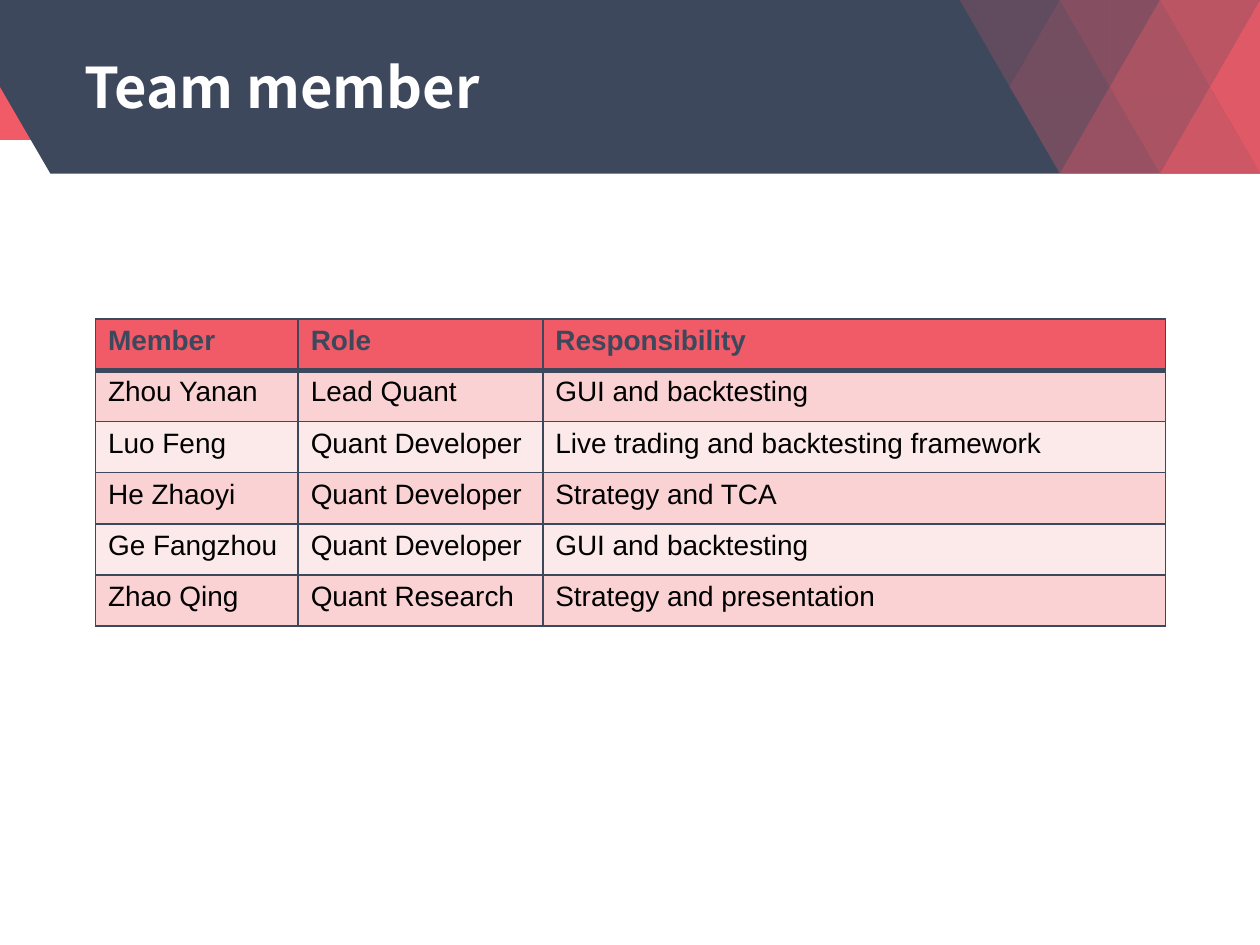
from lxml import etree
from pptx import Presentation
from pptx.dml.color import RGBColor
from pptx.enum import shapes, text
from pptx.oxml import ns
from pptx.util import Pt

COLORS = {"red": "F15B67", "navy": "3D485D", "white": "FFFFFF", "black": "000000",
          "dark band": "FAD2D3", "light band": "FCEAEB"}
rgb = {name: RGBColor.from_string(value) for name, value in COLORS.items()}

prs = Presentation()
prs.slide_width, prs.slide_height = Pt(720), Pt(540)
s = prs.slides.add_slide(prs.slide_layouts[5])


def add_polygon(points, color, opacity=100):
    """Draw a closed, unlined outline through points; opacity is in percent."""
    builder = s.shapes.build_freeform(Pt(points[0][0]), Pt(points[0][1]))
    builder.add_line_segments([(Pt(x), Pt(y)) for x, y in points[1:]])
    sp = builder.convert_to_shape()
    sp.shadow.inherit = False
    sp.line.fill.background()
    sp.fill.solid()
    sp.fill.fore_color.rgb = rgb[color]
    if opacity < 100:
        clr = sp._element.spPr.find(".//" + ns.qn("a:srgbClr"))
        etree.SubElement(clr, ns.qn("a:alpha"), val=str(opacity * 1000))


def add_border(cell, side, width):
    """Rule one side (L, R, T or B) of a table cell in navy."""
    ln = etree.SubElement(cell._tc.get_or_add_tcPr(), ns.qn("a:ln" + side), w=str(Pt(width)))
    fill = etree.SubElement(ln, ns.qn("a:solidFill"))
    etree.SubElement(fill, ns.qn("a:srgbClr"), val=COLORS["navy"])


# Header band
BAND_H = 99.2
ROW_H = BAND_H / 2
strip = s.shapes.add_shape(shapes.MSO_SHAPE.RECTANGLE, 0, 0, Pt(720), Pt(80))
strip.shadow.inherit = False
strip.fill.solid()
strip.fill.fore_color.rgb = rgb["red"]
strip.line.fill.background()
add_polygon([(0, 0), (720, 0), (720, BAND_H), (28.8, BAND_H), (0, ROW_H)], "navy")

# Triangle mosaic: apex column, row, direction, opacity; each triangle is two halves
STEP = 28.6
MOSAIC_X = 720 - 6 * STEP
triangles = [(1, 0, "down", 20), (2, 0, "up", 30), (2, 1, "down", 30), (3, 0, "down", 40),
             (3, 1, "up", 50), (4, 0, "up", 60), (4, 1, "down", 60), (5, 0, "down", 70),
             (5, 1, "up", 80), (6, 0, "up", 90), (6, 1, "down", 90)]
for col, row, direction, opacity in triangles:
    x = MOSAIC_X + col * STEP
    apex_y, base_y = row * ROW_H, (row + 1) * ROW_H
    if direction == "down":
        apex_y, base_y = base_y, apex_y
    for side_x in (x - STEP, x + STEP):
        if side_x < 721:
            add_polygon([(x, apex_y), (x, base_y), (side_x, base_y)], "red", opacity)

# Title, brought in front of the band
title = s.shapes.title
s.shapes._spTree.append(title._element)
title.left, title.top, title.width, title.height = Pt(48.2), Pt(23.8), Pt(623.5), Pt(46.8)
tf = title.text_frame
tf.text = "Team member"
tf.auto_size = text.MSO_AUTO_SIZE.NONE
tf.vertical_anchor = text.MSO_ANCHOR.MIDDLE
tf.margin_left = tf.margin_top = tf.margin_right = tf.margin_bottom = 0
p = tf.paragraphs[0]
p.alignment = text.PP_ALIGN.LEFT
p.line_spacing = Pt(42)
r = p.runs[0]
r.font.name, r.font.size, r.font.bold = "Noto Sans CJK SC", Pt(32), True
r.font.color.rgb = rgb["white"]
r_pr = r._r.get_or_add_rPr()
etree.SubElement(r_pr, ns.qn("a:ea"), typeface="Noto Sans CJK SC")

# Team table
members = [
    ("Member", "Role", "Responsibility"),
    ("Zhou Yanan", "Lead Quant", "GUI and backtesting"),
    ("Luo Feng", "Quant Developer", "Live trading and backtesting framework"),
    ("He Zhaoyi", "Quant Developer", "Strategy and TCA"),
    ("Ge Fangzhou", "Quant Developer", "GUI and backtesting"),
    ("Zhao Qing", "Quant Research", "Strategy and presentation"),
]
widths = [115.8, 139.8, 355.9]
TABLE_ROW_H = 29.25
table = s.shapes.add_table(len(members), len(widths), Pt(54.6), Pt(182.4), Pt(sum(widths)),
                           Pt(TABLE_ROW_H * len(members))).table
for column, width in zip(table.columns, widths):
    column.width = Pt(width)
for i, member in enumerate(members):
    table.rows[i].height = Pt(TABLE_ROW_H)
    header = i == 0
    fill = "red" if header else "dark band" if i % 2 else "light band"
    for j, value in enumerate(member):
        cell = table.cell(i, j)
        cell.text_frame.text = value
        r = cell.text_frame.paragraphs[0].runs[0]
        r.font.name, r.font.size, r.font.bold = "Arial", Pt(16), header
        r.font.color.rgb = rgb["navy" if header else "black"]
        for side in "LRTB":
            under_header = (i, side) in [(0, "B"), (1, "T")]
            add_border(cell, side, 3 if under_header else 1)
        cell.fill.solid()
        cell.fill.fore_color.rgb = rgb[fill]

prs.save("out.pptx")
